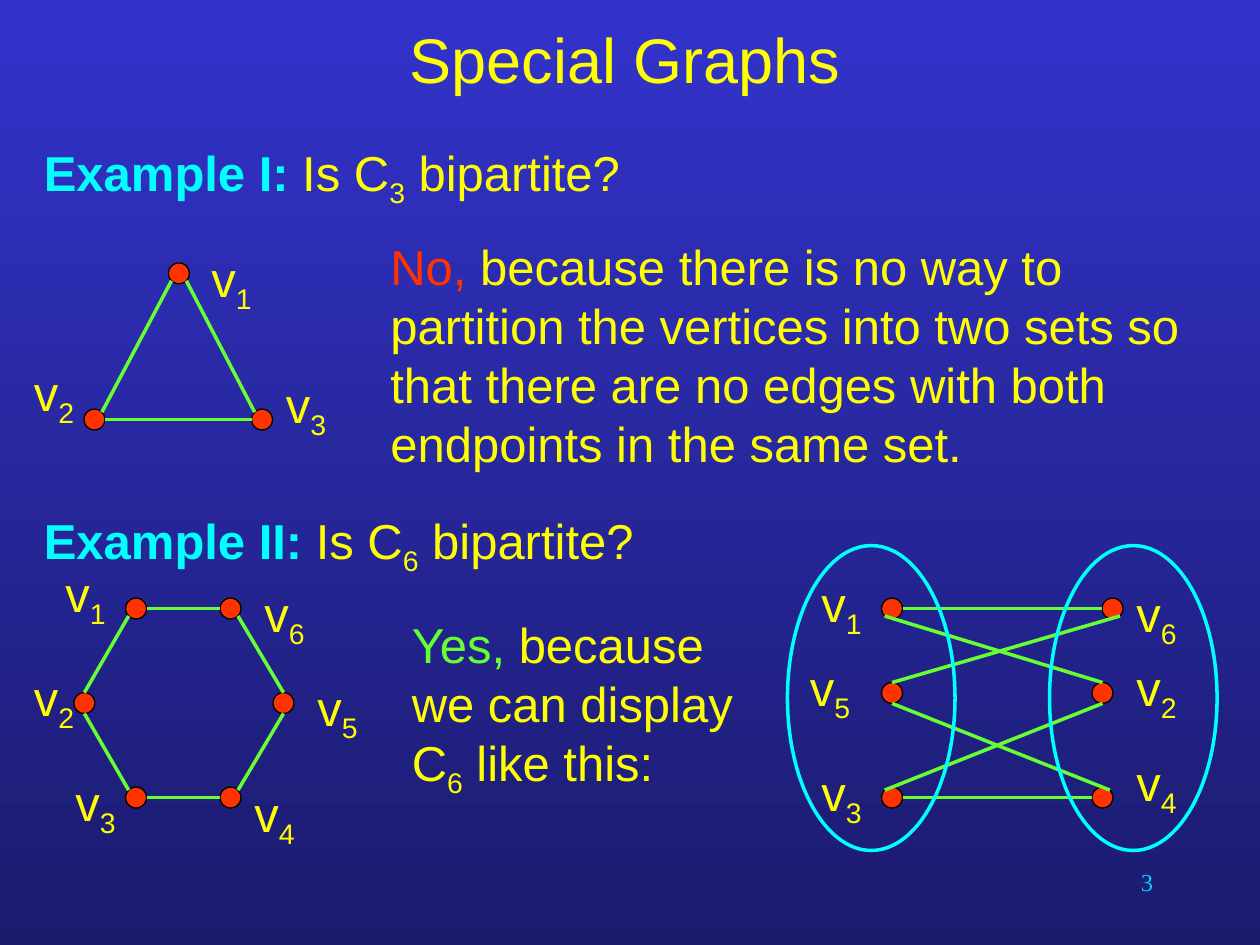
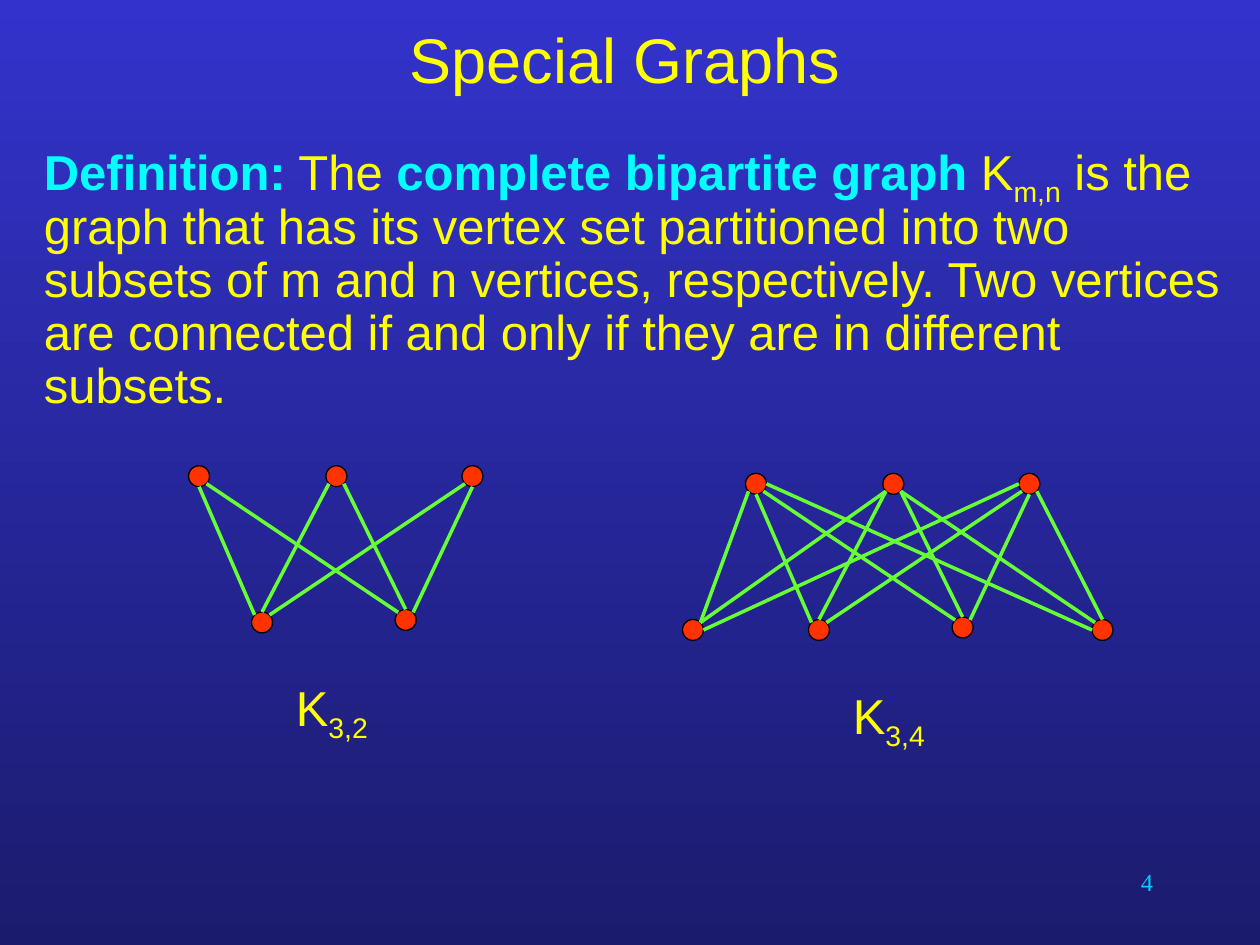
"""Build two slides on bipartite graphs, with vertex and edge drawings."""
from lxml import etree
from pptx import Presentation
from pptx.dml.color import RGBColor
from pptx.enum.shapes import MSO_CONNECTOR, MSO_SHAPE
from pptx.enum.text import MSO_ANCHOR, PP_ALIGN
from pptx.oxml.ns import qn
from pptx.util import Inches, Pt

STRAIGHT = MSO_CONNECTOR.STRAIGHT
DOT, OVAL = MSO_SHAPE.FLOWCHART_CONNECTOR, MSO_SHAPE.OVAL
MIDDLE = MSO_ANCHOR.MIDDLE
LEFT, CENTER, RIGHT = PP_ALIGN.LEFT, PP_ALIGN.CENTER, PP_ALIGN.RIGHT

TOP_BLUE = RGBColor(0x33, 0x33, 0xCC)
BOTTOM_BLUE = RGBColor(0x1B, 0x1B, 0x6E)
YELLOW = RGBColor(0xFF, 0xFF, 0x00)
CYAN = RGBColor(0x00, 0xFF, 0xFF)
NUMBER_BLUE = RGBColor(0x00, 0xCC, 0xFF)
RED = RGBColor(0xFF, 0x33, 0x00)
GREEN = RGBColor(0x66, 0xFF, 0x33)
BLACK = RGBColor(0x00, 0x00, 0x00)

RADIUS = 0.083
DIAGONAL = 0.059
SITES = {
    "N": (0, -RADIUS), "S": (0, RADIUS), "W": (-RADIUS, 0), "E": (RADIUS, 0),
    "NW": (-DIAGONAL, -DIAGONAL), "NE": (DIAGONAL, -DIAGONAL),
    "SW": (-DIAGONAL, DIAGONAL), "SE": (DIAGONAL, DIAGONAL),
}


def add_text(page, left, top, width, height, spans, size=28, face="Arial", align=LEFT):
    box = page.shapes.add_textbox(Inches(left), Inches(top), Inches(width), Inches(height))
    box.text_frame.word_wrap = True
    para = box.text_frame.paragraphs[0]
    para.alignment = align
    para.font.name = face
    para.font.size = Pt(size)
    for text, color, style in spans:
        span = para.add_run()
        span.text = text
        span.font.color.rgb = color
        if style == "bold":
            span.font.bold = True
        elif style == "sub":
            span._r.get_or_add_rPr().set("baseline", "-25000")
    return para


def draw_graph(page, vertices, edges, labels):
    for x, y in vertices.values():
        dot = page.shapes.add_shape(DOT, Inches(x - RADIUS), Inches(y - RADIUS),
                                    Inches(2 * RADIUS), Inches(2 * RADIUS))
        dot.shadow.inherit = False
        dot.fill.solid()
        dot.fill.fore_color.rgb = RED
        dot.line.color.rgb = BLACK
        dot.line.width = Pt(0.75)
    for start, start_site, end, end_site in edges:
        points = []
        for vertex, site in ((start, start_site), (end, end_site)):
            points += [Inches(place + shift) for place, shift in zip(vertices[vertex], SITES[site])]
        edge = page.shapes.add_connector(STRAIGHT, *points)
        edge.line.color.rgb = GREEN
        edge.line.width = Pt(2)
        etree.SubElement(edge._element.spPr, qn("a:effectLst"))
    for vertex, (left, top) in labels.items():
        add_text(page, left, top, 0.75, 0.57,
                 [(vertex[0], YELLOW, ""), (vertex[1:], YELLOW, "sub")])


deck = Presentation()
deck.slide_width = Inches(10)
deck.slide_height = Inches(7.5)
backdrop = deck.slide_master.background.fill
backdrop.gradient()
backdrop.gradient_angle = 270
for stop, color in zip(backdrop.gradient_stops, (TOP_BLUE, BOTTOM_BLUE)):
    stop.color.rgb = color

pages = []
for number in (3, 4):
    page = deck.slides.add_slide(deck.slide_layouts[5])
    title = page.shapes.title
    title.left, title.top = Inches(0.25), Inches(0)
    title.width, title.height = Inches(9.42), Inches(0.92)
    title.text_frame.text = "Special Graphs"
    title.text_frame.vertical_anchor = MIDDLE
    para = title.text_frame.paragraphs[0]
    para.alignment = CENTER
    para.font.name = "Arial"
    para.font.size = Pt(36)
    para.font.color.rgb = YELLOW
    add_text(page, 7.17, 6.83, 2.08, 0.5, [(str(number), NUMBER_BLUE, "")],
             size=14, face="Times New Roman", align=RIGHT)
    pages.append(page)
examples_page, definition_page = pages

for heading, order, top in (("Example I:", "3", 1.08), ("Example II:", "6", 4)):
    add_text(examples_page, 0.25, top, 5.75, 0.67, [
        (heading, CYAN, "bold"), (" Is C", YELLOW, ""),
        (order, YELLOW, "sub"), (" bipartite?", YELLOW, "")])
add_text(examples_page, 3, 1.83, 6.75, 1.42, [
    ("No,", RED, ""),
    (" because there is no way to partition the vertices into two sets so that "
     "there are no edges with both endpoints in the same set.", YELLOW, "")])
add_text(examples_page, 3.17, 4.83, 2.83, 1.58, [
    ("Yes, ", GREEN, ""), ("because we can display C", YELLOW, ""),
    ("6", YELLOW, "sub"), (" like this:", YELLOW, "")])

draw_graph(
    examples_page,
    {"v1": (1.42, 2.17), "v2": (0.75, 3.33), "v3": (2.08, 3.33)},
    [("v2", "NE", "v1", "SW"), ("v2", "E", "v3", "W"), ("v3", "NW", "v1", "SE")],
    {"v1": (1.58, 1.92), "v2": (0.17, 2.83), "v3": (2.17, 2.92)})

six_cycle = [
    ("v1", "E", "v6", "W"), ("v2", "N", "v1", "SW"), ("v2", "S", "v3", "NW"),
    ("v3", "E", "v4", "W"), ("v4", "NE", "v5", "S"), ("v5", "N", "v6", "SE")]
draw_graph(
    examples_page,
    {"v1": (1.08, 4.83), "v2": (0.67, 5.58), "v3": (1.08, 6.33),
     "v4": (1.83, 6.33), "v5": (2.25, 5.58), "v6": (1.83, 4.83)},
    six_cycle,
    {"v1": (0.42, 4.42), "v2": (0.17, 5.25), "v3": (0.5, 6.08),
     "v4": (1.92, 6.17), "v5": (2.42, 5.33), "v6": (2, 4.58)})
draw_graph(
    examples_page,
    {"v1": (7.08, 4.83), "v5": (7.08, 5.5), "v3": (7.08, 6.33),
     "v6": (8.83, 4.83), "v2": (8.75, 5.5), "v4": (8.75, 6.33)},
    six_cycle,
    {"v1": (6.42, 4.5), "v5": (6.33, 5.17), "v3": (6.42, 6),
     "v6": (8.92, 4.58), "v2": (8.92, 5.17), "v4": (8.92, 5.92)})

for left in (6.25, 8.33):
    subset = examples_page.shapes.add_shape(OVAL, Inches(left), Inches(4.33),
                                            Inches(1.33), Inches(2.42))
    subset.shadow.inherit = False
    subset.fill.background()
    subset.line.color.rgb = CYAN
    subset.line.width = Pt(2)

definition = add_text(definition_page, 0.25, 1.08, 9.58, 2.33, [
    ("Definition:", CYAN, "bold"), (" The ", YELLOW, ""),
    ("complete bipartite graph", CYAN, "bold"), (" K", YELLOW, ""), ("m,n", YELLOW, "sub"),
    (" is the graph that has its vertex set partitioned into two subsets of m and n "
     "vertices, respectively. Two vertices are connected if and only if they are in "
     "different subsets.", YELLOW, "")])
definition.line_spacing = 0.9

core_vertices = {"top1": (1.58, 3.78), "top2": (2.67, 3.78), "top3": (3.75, 3.78),
                 "low1": (2.08, 4.94), "low2": (3.22, 4.92)}
core_edges = [
    ("top1", "S", "low1", "NW"), ("top2", "SW", "low1", "N"), ("top3", "SW", "low1", "NE"),
    ("top1", "SE", "low2", "NW"), ("top2", "SE", "low2", "N"), ("top3", "S", "low2", "NE")]
outer_vertices = {"outer1": (5.5, 5), "outer2": (8.75, 5)}
outer_edges = [
    ("outer1", "NE", "top1", "SW"), ("outer1", "NE", "top2", "SW"), ("outer1", "E", "top3", "W"),
    ("top1", "E", "outer2", "W"), ("top2", "SE", "outer2", "NW"), ("top3", "SE", "outer2", "N")]

for sizes, shift_x, shift_y, more_vertices, more_edges in (
        ("3,2", 0, 0, {}, []), ("3,4", 4.42, 0.06, outer_vertices, outer_edges)):
    vertices = {name: (x + shift_x, y + shift_y) for name, (x, y) in core_vertices.items()}
    draw_graph(definition_page, {**vertices, **more_vertices}, core_edges + more_edges, {})
    add_text(definition_page, 2.25 + shift_x, 5.33 + shift_y, 0.94, 0.57,
             [("K", YELLOW, ""), (sizes, YELLOW, "sub")])

deck.save("out.pptx")
